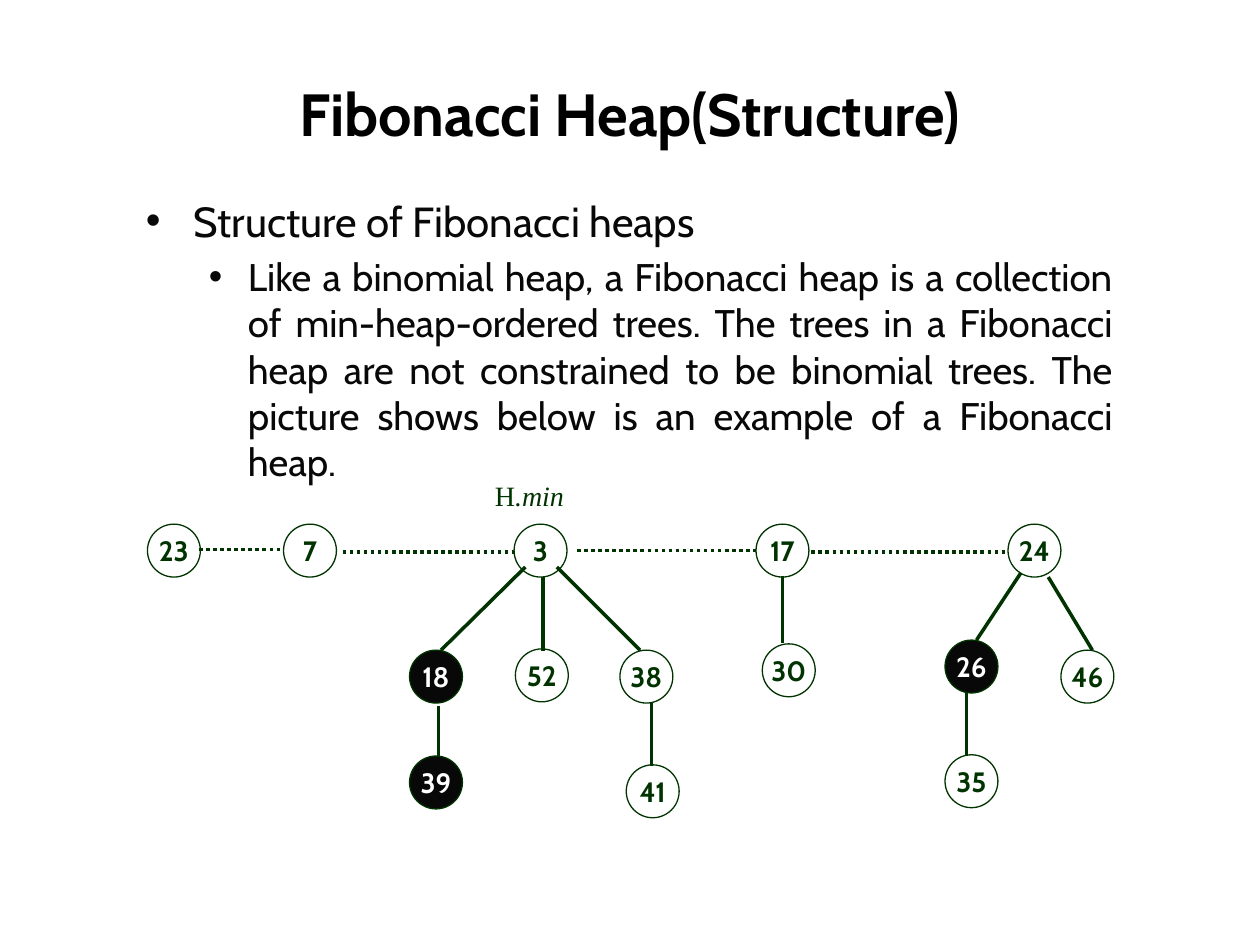
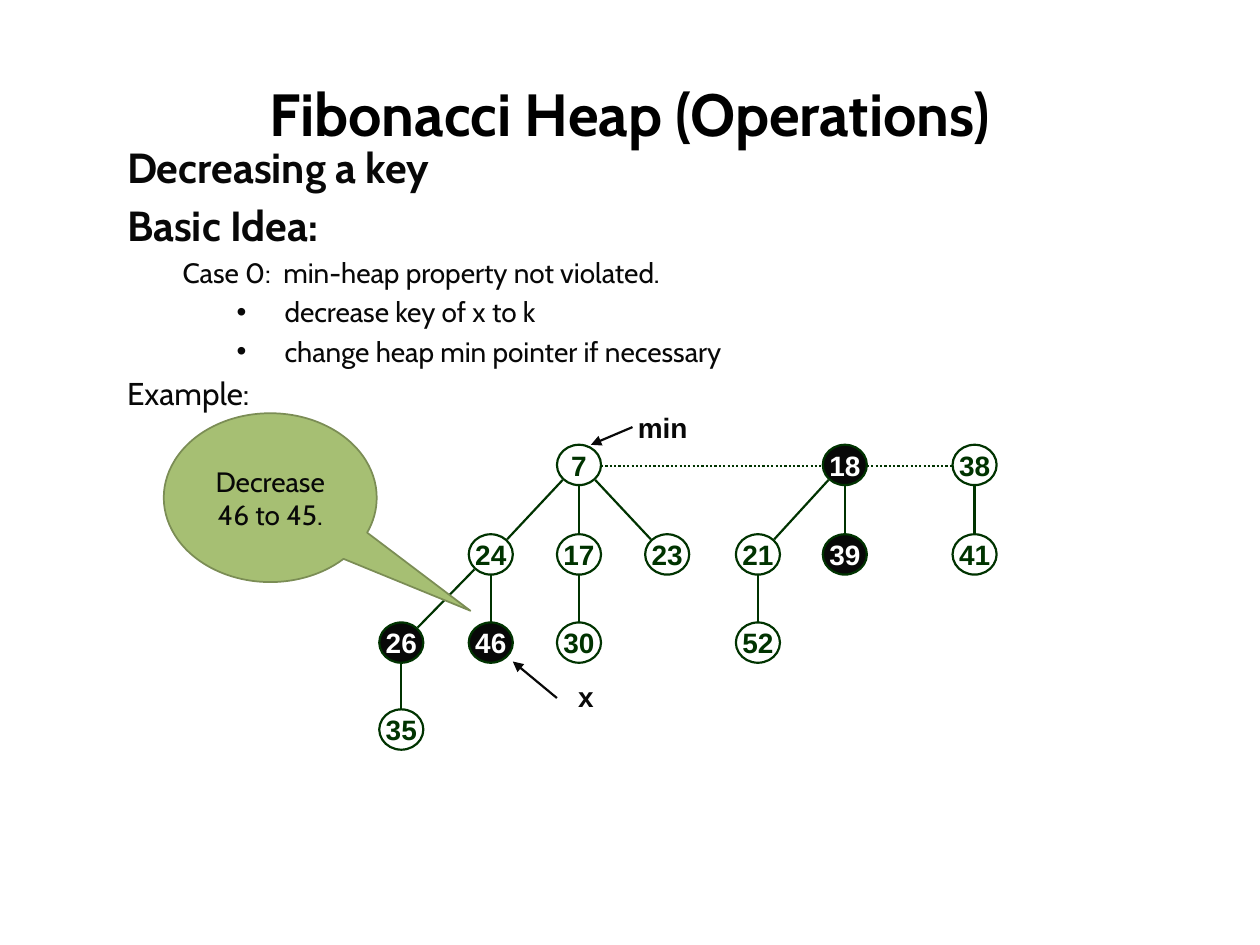
from lxml import etree
from pptx import Presentation
from pptx import util as u
from pptx.dml.color import RGBColor
from pptx.enum import dml, shapes, text
from pptx.oxml.ns import qn

GREEN = RGBColor(0x00, 0x33, 0x00)
BLACK = RGBColor(0x00, 0x00, 0x00)
INK = RGBColor(0x08, 0x08, 0x08)
WHITE = RGBColor(0xFF, 0xFF, 0xFF)
CALLOUT_FILL = RGBColor(0xA6, 0xBF, 0x73)
CALLOUT_LINE = RGBColor(0x7B, 0x8D, 0x55)

CENTER, JUSTIFY = text.PP_ALIGN.CENTER, text.PP_ALIGN.JUSTIFY
MIDDLE, TOP = text.MSO_ANCHOR.MIDDLE, text.MSO_ANCHOR.TOP
OVAL = shapes.MSO_SHAPE.OVAL

TITLE = {"name": "Cabin", "size": u.Pt(34), "bold": True, "color": BLACK}
BODY = {"name": "Cabin", "size": u.Pt(24), "color": INK}
LABEL = {"name": "Arial", "size": u.Pt(16), "bold": True, "color": INK}
SERIF = {"name": "Times New Roman", "size": u.Pt(16), "color": GREEN}


def write(shape, runs, align=CENTER, anchor=MIDDLE, wrap=True,
          left=0, indent=0, bullet=False, spaced=False):
    """Add one paragraph made of (words, format) runs to a shape."""
    frame = shape.text_frame
    frame.word_wrap, frame.vertical_anchor = wrap, anchor
    paragraph = frame.paragraphs[0]
    if paragraph.runs:
        paragraph = frame.add_paragraph()
    paragraph.alignment = align
    for words, style in runs:
        run = paragraph.add_run()
        run.text = words
        for key, value in style.items():
            if key == "color":
                run.font.color.rgb = value
            else:
                setattr(run.font, key, value)
    if spaced:
        paragraph.space_before = u.Pt(round(runs[0][1]["size"].pt * 0.2, 1))
    properties = paragraph._p.get_or_add_pPr()
    properties.set("marL", str(u.Inches(left)))
    properties.set("indent", str(u.Inches(indent)))
    if bullet:
        etree.SubElement(properties, qn("a:buFont")).set("typeface", "Arial")
        etree.SubElement(properties, qn("a:buChar")).set("char", "•")


def connect(slide, start, end, width, color=GREEN, dotted=False, arrow=False):
    """Draw a straight line, dotted or ending in an arrowhead if asked."""
    line = slide.shapes.add_connector(
        shapes.MSO_CONNECTOR.STRAIGHT, *map(u.Inches, (*start, *end)))
    line.line.color.rgb = color
    line.line.width = u.Pt(width)
    if dotted:
        line.line.dash_style = dml.MSO_LINE.ROUND_DOT
    if arrow:
        etree.SubElement(line.line._get_or_add_ln(), qn("a:tailEnd")).set("type", "triangle")
    etree.SubElement(line._element.spPr, qn("a:effectLst"))


presentation = Presentation()
presentation.slide_width, presentation.slide_height = u.Inches(10), u.Inches(7.5)

# Tree nodes of each slide: key -> left, top
structure_nodes = {
    23: (1.17, 4.16), 7: (2.25, 4.16), 3: (4.08, 4.16), 17: (6, 4.16), 24: (8, 4.16),
    18: (3.25, 5.16), 52: (4.09, 5.15), 38: (4.92, 5.16), 30: (6.05, 5.11),
    26: (7.5, 5.08), 46: (8.42, 5.16), 39: (3.25, 6), 41: (4.97, 6.07), 35: (7.5, 5.99),
}
columns = [3.01, 3.72, 4.42, 5.12, 5.84, 6.53, 7.56]
rows = [3.53, 4.24, 4.94, 5.63]
operation_grid = {
    7: (2, 0), 18: (5, 0), 38: (6, 0),
    24: (1, 1), 17: (2, 1), 23: (3, 1), 21: (4, 1), 39: (5, 1), 41: (6, 1),
    26: (0, 2), 46: (1, 2), 30: (2, 2), 52: (4, 2), 35: (0, 3),
}
operation_nodes = {key: (columns[column], rows[row])
                   for key, (column, row) in operation_grid.items()}

# Body text of each slide: words, format changes, paragraph settings
structure_body = [
    ("Structure of Fibonacci heaps", {}, {"left": 0.38, "indent": -0.38, "bullet": True}),
    ("Like a binomial heap, a Fibonacci heap is a collection of min-heap-ordered trees. "
     "The trees in a Fibonacci heap are not constrained to be binomial trees. "
     "The picture shows below is an example of a Fibonacci heap.",
     {"size": u.Pt(22)}, {"left": 0.81, "indent": -0.31, "bullet": True}),
]
small = {"size": u.Pt(16)}
step = {"left": 1.25, "indent": -0.38, "bullet": True}
operation_body = [
    ("Decreasing a key", {"bold": True}, {}),
    ("Basic Idea:", {"bold": True}, {}),
    ("Case 0:  min-heap property not violated.", small, {"left": 0.44}),
    ("decrease key of x to k", small, step),
    ("change heap min pointer if necessary", small, step),
    ("Example:", {"size": u.Pt(18)}, {}),
]

pages = [
    {"title": "Fibonacci Heap(Structure)", "body": structure_body,
     "body_box": (1.06, 1.5, 7.87, 2.34), "nodes": structure_nodes,
     "marked": {18, 39, 26}, "size": (0.42, 0.42), "outline": 0.75, "font": "Cabin"},
    {"title": "Fibonacci Heap (Operations)", "body": operation_body,
     "body_box": (0.91, 1.07, 8.35, 5.59), "nodes": operation_nodes,
     "marked": {18, 39, 26, 46}, "size": (0.35, 0.32), "outline": 1.25, "font": "Arial"},
]

# Title, body and nodes, alike on both slides
slides = []
for page in pages:
    slide = presentation.slides.add_slide(presentation.slide_layouts[6])
    slides.append(slide)
    title = slide.shapes.add_textbox(*map(u.Inches, (0.5, 0.5, 9, 0.79)))
    write(title, [(page["title"], TITLE)])
    body = slide.shapes.add_textbox(*map(u.Inches, page["body_box"]))
    for words, changes, settings in page["body"]:
        write(body, [(words, BODY | changes)], JUSTIFY, TOP, spaced=True, **settings)
    for key, position in page["nodes"].items():
        marked = key in page["marked"]
        node = slide.shapes.add_shape(OVAL, *map(u.Inches, position + page["size"]))
        node.shadow.inherit = False
        node.fill.solid()
        node.fill.fore_color.rgb = INK if marked else WHITE
        node.line.color.rgb = GREEN
        node.line.width = u.Pt(page["outline"])
        style = LABEL | {"name": page["font"], "color": WHITE if marked else GREEN}
        write(node, [(str(key), style)], wrap=False)
structure, operations = slides

# Structure slide: root list, tree edges and the pointer label
for left, right, y in [(1.58, 2.25, 4.36), (2.72, 4.08, 4.38),
                       (4.58, 6, 4.37), (6.44, 8, 4.38)]:
    connect(structure, (left, y), (right, y), 2, dotted=True)
for start, end in [
    ((4.17, 4.5), (3.5, 5.16)), ((4.31, 4.58), (4.31, 5.17)), ((4.42, 4.5), (5.08, 5.16)),
    ((3.48, 5.6), (3.48, 6.01)), ((5.17, 5.58), (5.17, 6.08)), ((6.21, 4.57), (6.21, 5.1)),
    ((8.1, 4.55), (7.75, 5.08)), ((8.32, 4.58), (8.67, 5.16)), ((7.67, 5.5), (7.67, 6)),
]:
    connect(structure, start, end, 2)
heap_min = structure.shapes.add_textbox(*map(u.Inches, (3.83, 3.75, 0.76, 0.37)))
write(heap_min, [("H", SERIF), (".min", SERIF | {"italic": True})],
      text.PP_ALIGN.LEFT, TOP, wrap=False)

# Operations slide: root list and tree edges, trimmed at the node outlines
node_width, node_height = pages[1]["size"]
centers = {key: (x + node_width / 2, y + node_height / 2)
           for key, (x, y) in operation_nodes.items()}
for left, right in [(7, 18), (18, 38)]:
    connect(operations, (centers[left][0] + node_width / 2, 3.7),
            (centers[right][0] - node_width / 2, 3.7), 1.25, dotted=True)
for parent, child in [(7, 24), (7, 17), (7, 23), (24, 26), (24, 46), (17, 30),
                      (26, 35), (18, 21), (18, 39), (21, 52), (38, 41)]:
    (x1, y1), (x2, y2) = centers[parent], centers[child]
    side = (x2 > x1) - (x2 < x1)
    trim_x, trim_y = (0.13 * side, 0.12) if side else (0, node_height / 2)
    connect(operations, (x1 + trim_x, y1 + trim_y), (x2 - trim_x, y2 - trim_y), 1.25)

# Pointers min and x
for name, box, start, end in [
    ("min", (4.96, 3.23, 0.6, 0.32), (5.02, 3.39), (4.69, 3.53)),
    ("x", (4.35, 5.37, 0.6, 0.32), (4.42, 5.54), (4.07, 5.25)),
]:
    connect(operations, start, end, 1.25, INK, arrow=True)
    label = operations.shapes.add_textbox(*map(u.Inches, box))
    write(label, [(name, LABEL)], wrap=False)

# Callout
callout = operations.shapes.add_shape(
    shapes.MSO_SHAPE.OVAL_CALLOUT, *map(u.Inches, (1.3, 3.28, 1.69, 1.34)))
callout.adjustments[0], callout.adjustments[1] = 0.94, 0.67
callout.shadow.inherit = False
callout.fill.solid()
callout.fill.fore_color.rgb = CALLOUT_FILL
callout.line.color.rgb = CALLOUT_LINE
callout.line.width = u.Pt(1)
write(callout, [("Decrease 46 to 45.", BODY | small)])

presentation.save("out.pptx")
